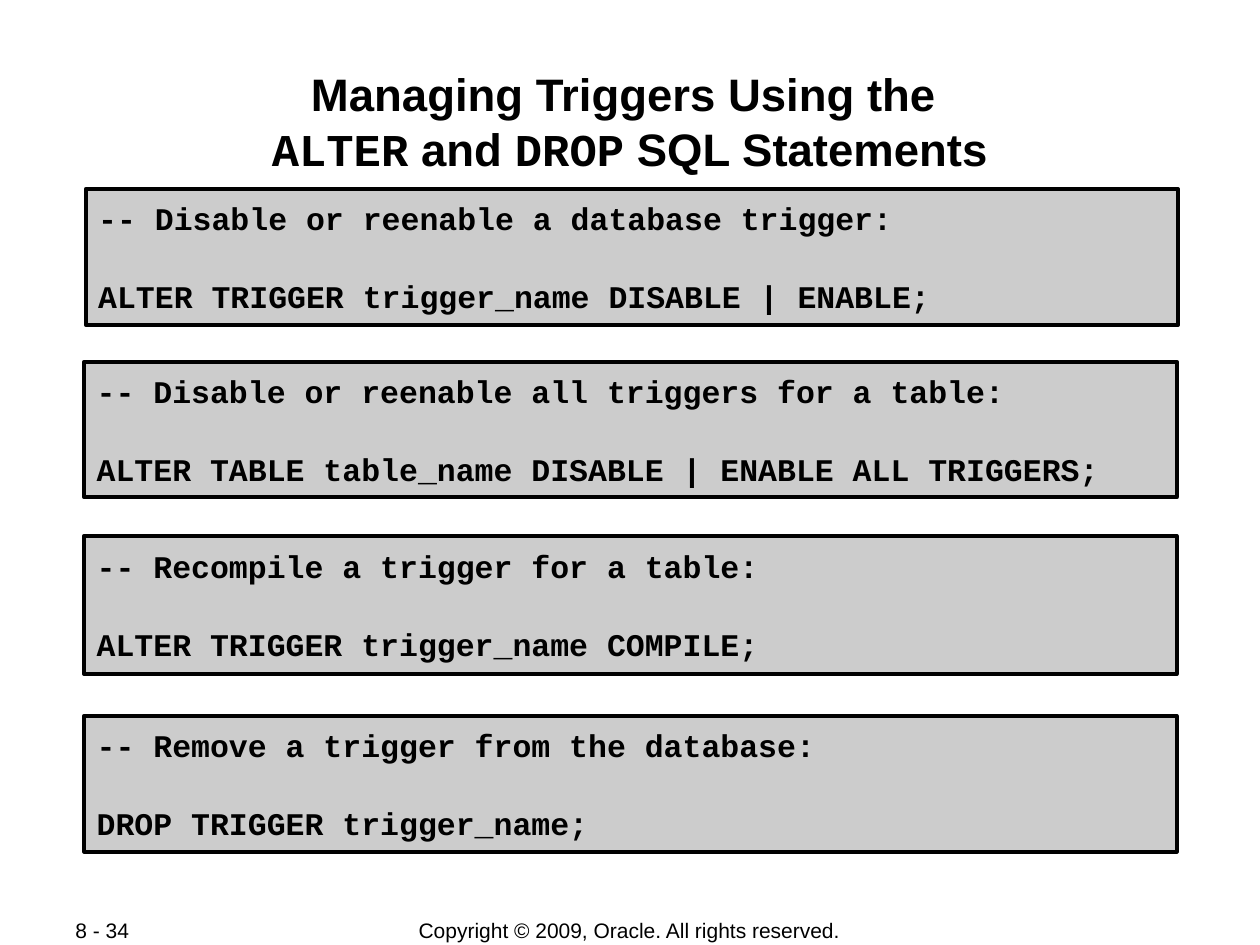
from dataclasses import dataclass
from pptx import Presentation
from pptx import util as u
from pptx.dml import color
from pptx.enum import shapes, text


@dataclass(frozen=True)
class Theme:
    ink = color.RGBColor(0x00, 0x00, 0x00)
    panel = color.RGBColor(0xCC, 0xCC, 0xCC)
    sans = "Arial"
    mono = "Courier New"
    title_size = u.Pt(26)
    code_size = u.Pt(18)
    footer_size = u.Pt(12)
    border = u.Pt(2.25)
    statement_gap = u.Pt(23)


theme = Theme()


def style_font(font, name, size, bold):
    font.name = name
    font.size = size
    font.bold = bold
    font.color.rgb = theme.ink


def set_frame(frame, side, end):
    frame.margin_left = frame.margin_right = u.Cm(side)
    frame.margin_top = frame.margin_bottom = u.Cm(end)
    frame.vertical_anchor = text.MSO_ANCHOR.MIDDLE
    frame.auto_size = text.MSO_AUTO_SIZE.NONE
    frame.word_wrap = True


deck = Presentation()
deck.slide_width = u.Cm(25.4)
deck.slide_height = u.Cm(19.05)
slide = deck.slides.add_slide(deck.slide_layouts[5])

title = slide.shapes.title
title.left, title.top = u.Cm(1.7), u.Cm(1.22)
title.width, title.height = u.Cm(22), u.Cm(2.44)
set_frame(title.text_frame, 0.03, 0.03)
heading = title.text_frame.paragraphs[0]
heading.alignment = text.PP_ALIGN.CENTER
heading.text = "Managing Triggers Using the \v"
style_font(heading.runs[0].font, theme.sans, theme.title_size, True)
for words, face in [
    ("ALTER", theme.mono),
    (" and ", theme.sans),
    ("DROP", theme.mono),
    (" SQL Statements", theme.sans),
]:
    run = heading.add_run()
    run.text = words
    style_font(run.font, face, theme.title_size, True)

examples = [
    (1.73, 3.81, 2.74, "-- Disable or reenable a database trigger:",
     "ALTER TRIGGER trigger_name DISABLE | ENABLE;"),
    (1.7, 7.29, 2.74, "-- Disable or reenable all triggers for a table:",
     "ALTER TABLE table_name DISABLE | ENABLE ALL TRIGGERS;"),
    (1.7, 10.8, 2.79, "-- Recompile a trigger for a table:",
     "ALTER TRIGGER trigger_name COMPILE;"),
    (1.7, 14.43, 2.74, "-- Remove a trigger from the database:",
     "DROP TRIGGER trigger_name;"),
]
for left, top, height, comment, statement in examples:
    panel = slide.shapes.add_shape(
        shapes.MSO_SHAPE.RECTANGLE, u.Cm(left), u.Cm(top), u.Cm(22.02), u.Cm(height))
    panel.shadow.inherit = False
    panel.fill.solid()
    panel.fill.fore_color.rgb = theme.panel
    panel.line.color.rgb = theme.ink
    panel.line.width = theme.border
    set_frame(panel.text_frame, 0.25, 0.03)
    panel.text_frame.text = f"{comment}\n{statement}"
    for code_line in panel.text_frame.paragraphs:
        code_line.alignment = text.PP_ALIGN.LEFT
        indent = code_line._p.get_or_add_pPr()
        indent.set("marL", str(u.Cm(1.27)))
        indent.set("indent", str(-u.Cm(1.27)))
        style_font(code_line.runs[0].font, theme.mono, theme.code_size, True)
    panel.text_frame.paragraphs[1].space_before = theme.statement_gap

for left, width, words, alignment in [
    (6.99, 11.4, "Copyright © 2009, Oracle. All rights reserved.", text.PP_ALIGN.CENTER),
    (1.27, 2.69, "8 - 34", text.PP_ALIGN.LEFT),
]:
    footer = slide.shapes.add_textbox(u.Cm(left), u.Cm(18.49), u.Cm(width), u.Cm(0.52))
    set_frame(footer.text_frame, 0.25, 0.13)
    footer.text_frame.text = words
    footer_line = footer.text_frame.paragraphs[0]
    footer_line.alignment = alignment
    style_font(footer_line.runs[0].font, theme.sans, theme.footer_size, False)

deck.save("out.pptx")
